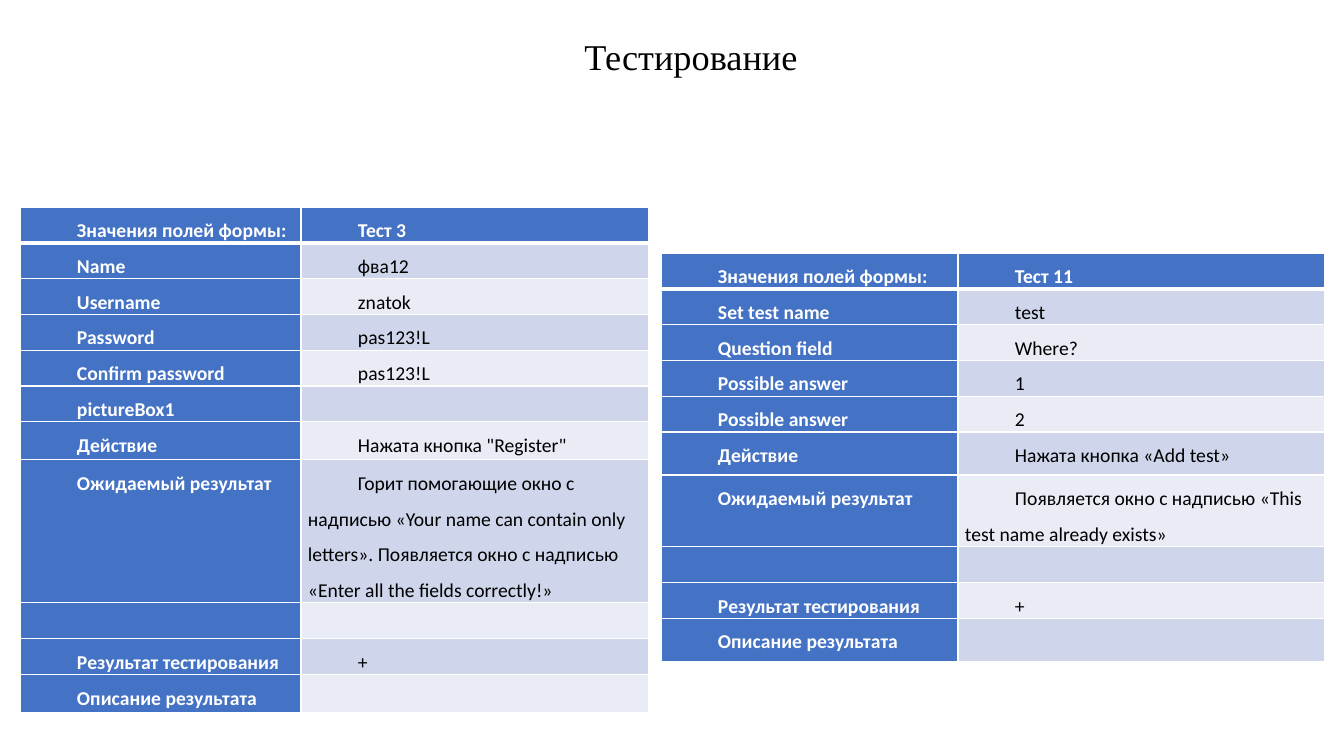
from lxml.etree import SubElement
from pptx import Presentation
from pptx.dml.color import RGBColor
from pptx.enum.text import MSO_ANCHOR, PP_ALIGN
from pptx.oxml.ns import qn
from pptx.util import Emu, Pt

PIXEL = 9071  # EMU per pixel at 100.8 pixels to the inch
COLORS = {"header": "4472C4", "odd": "CFD5EA", "even": "E9EBF5",
          "white": "FFFFFF", "black": "000000"}


def write_text(frame, text, font="Calibri", size=14, color="black", bold=False,
               align=PP_ALIGN.LEFT, spacing=1.0, indent=0):
    paragraph = frame.paragraphs[0]
    paragraph.alignment = align
    paragraph.line_spacing = spacing
    if indent:
        properties = paragraph._p.get_or_add_pPr()
        properties.set("marL", "0")
        properties.set("indent", str(indent * PIXEL))
    run = paragraph.add_run()
    run.text = text
    run.font.name = font
    run.font.size = Pt(size)
    run.font.bold = bold
    run.font.color.rgb = RGBColor.from_string(COLORS[color])


def add_border(cell, side, points):
    line = SubElement(cell._tc.get_or_add_tcPr(), qn(f"a:ln{side}"), w=str(Pt(points)))
    fill = SubElement(line, qn("a:solidFill"))
    SubElement(fill, qn("a:srgbClr"), val=COLORS["white"])


presentation = Presentation()
presentation.slide_width = Emu(1344 * PIXEL)
presentation.slide_height = Emu(756 * PIXEL)
slide = presentation.slides.add_slide(presentation.slide_layouts[5])

# Title
title = slide.shapes.title
title.left, title.top, title.width, title.height = (
    Emu(pixels * PIXEL) for pixels in (187, 38, 1008, 43))
title_frame = title.text_frame
title_frame.vertical_anchor = MSO_ANCHOR.MIDDLE
title_frame.margin_top, title_frame.margin_bottom = 0, Emu(6 * PIXEL)
write_text(title_frame, "Тестирование", font="Times New Roman", size=25.9,
           align=PP_ALIGN.CENTER)

# Test cases: left, top, column widths and rows of (height, field, value)
ROW = 35
registration_rows = [
    (ROW, "Значения полей формы:", "Тест 3"),
    (ROW, "Name", "фва12"),
    (ROW, "Username", "znatok"),
    (ROW, "Password", "pas123!L"),
    (ROW, "Confirm password", "pas123!L"),
    (ROW, "pictureBox1", ""),
    (38, "Действие", "Нажата кнопка \"Register\""),
    (4 * ROW, "Ожидаемый результат",
     "Горит помогающие окно с надписью «Your name can contain only letters». "
     "Появляется окно с надписью «Enter all the fields correctly!»"),
    (36, "", ""),
    (ROW, "Результат тестирования", "+"),
    (38, "Описание результата", ""),
]
new_test_rows = [
    (ROW, "Значения полей формы:", "Тест 11"),
    (ROW, "Set test name", "test"),
    (ROW, "Question field", "Where?"),
    (ROW, "Possible answer", "1"),
    (ROW, "Possible answer", "2"),
    (43, "Действие", "Нажата кнопка «Add test»"),
    (2 * ROW, "Ожидаемый результат",
     "Появляется окно с надписью «This test name already exists»"),
    (36, "", ""),
    (ROW, "Результат тестирования", "+"),
    (43, "Описание результата", ""),
]
test_cases = [
    (20, 207, (281, 348), registration_rows),
    (661, 253, (297, 367), new_test_rows),
]

# Tables
for left, top, widths, rows in test_cases:
    height = sum(row[0] for row in rows)
    table = slide.shapes.add_table(
        len(rows), len(widths), *(Emu(pixels * PIXEL)
                                  for pixels in (left, top, sum(widths), height))).table
    table.first_col = True
    for column, width in zip(table.columns, widths):
        column.width = Emu(width * PIXEL)
    for row_index, (row_height, *texts) in enumerate(rows):
        table.rows[row_index].height = Emu(row_height * PIXEL)
        for column_index, text in enumerate(texts):
            cell = table.cell(row_index, column_index)
            cell.margin_left = cell.margin_right = Emu(7 * PIXEL)
            cell.margin_top = cell.margin_bottom = 0
            is_header = row_index == 0 or column_index == 0
            if text:
                write_text(cell.text_frame, text, bold=is_header, spacing=1.5, indent=50,
                           color="white" if is_header else "black")
            add_border(cell, "L", 1)
            add_border(cell, "R", 1)
            add_border(cell, "T", 3 if row_index == 1 else 1)
            add_border(cell, "B", 3 if row_index == 0 else 1)
            band = "header" if is_header else "odd" if row_index % 2 else "even"
            cell.fill.solid()
            cell.fill.fore_color.rgb = RGBColor.from_string(COLORS[band])

presentation.save("out.pptx")
